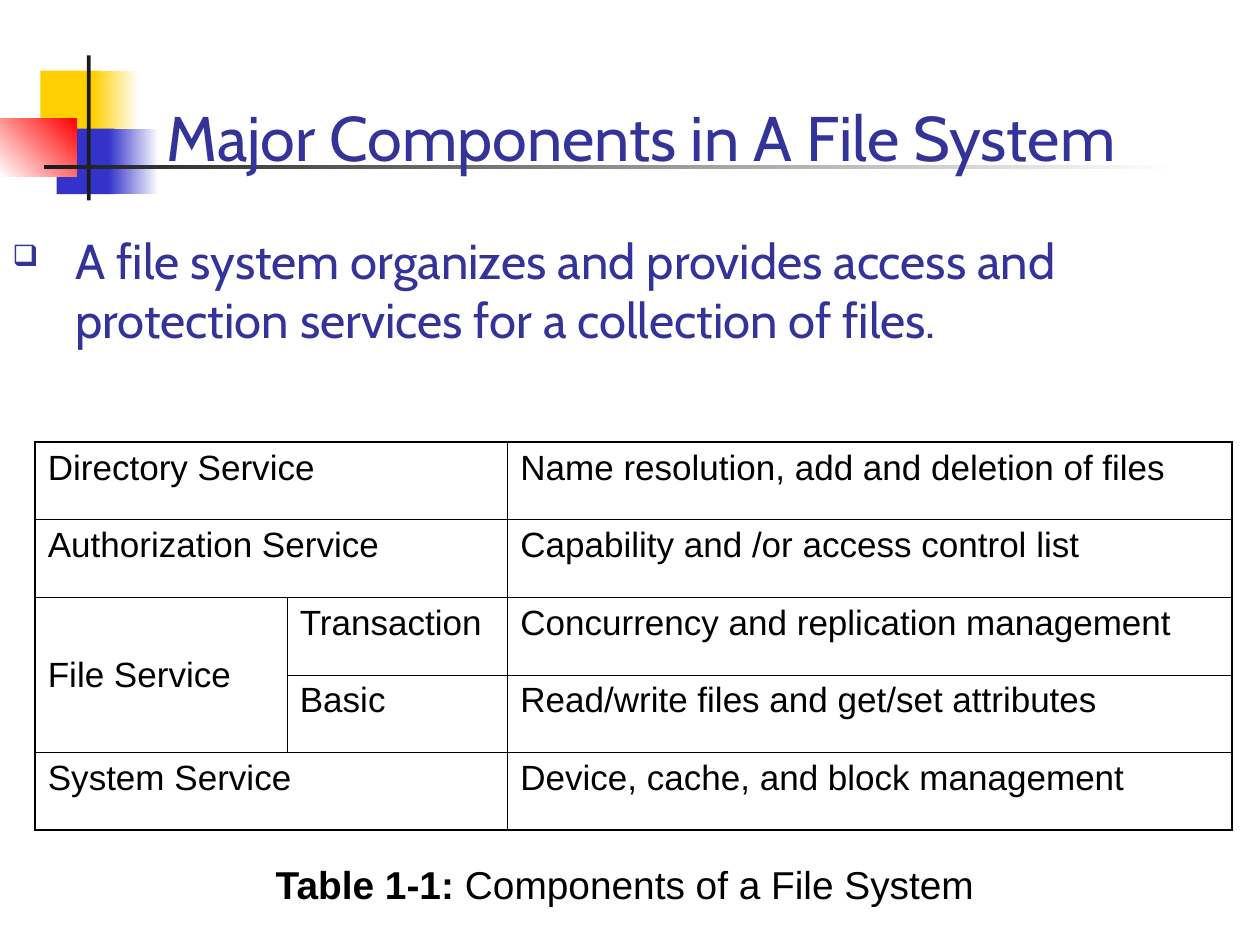
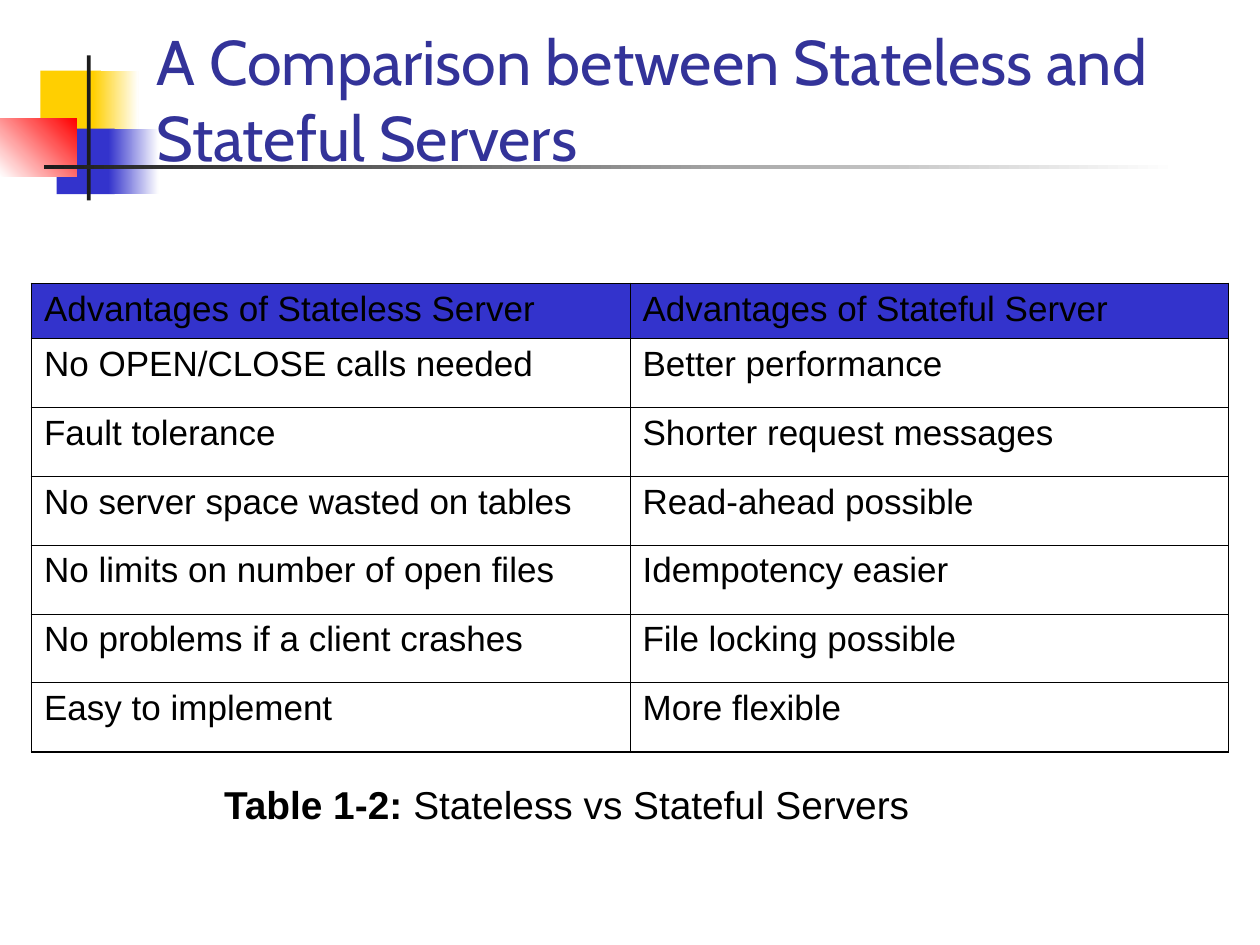
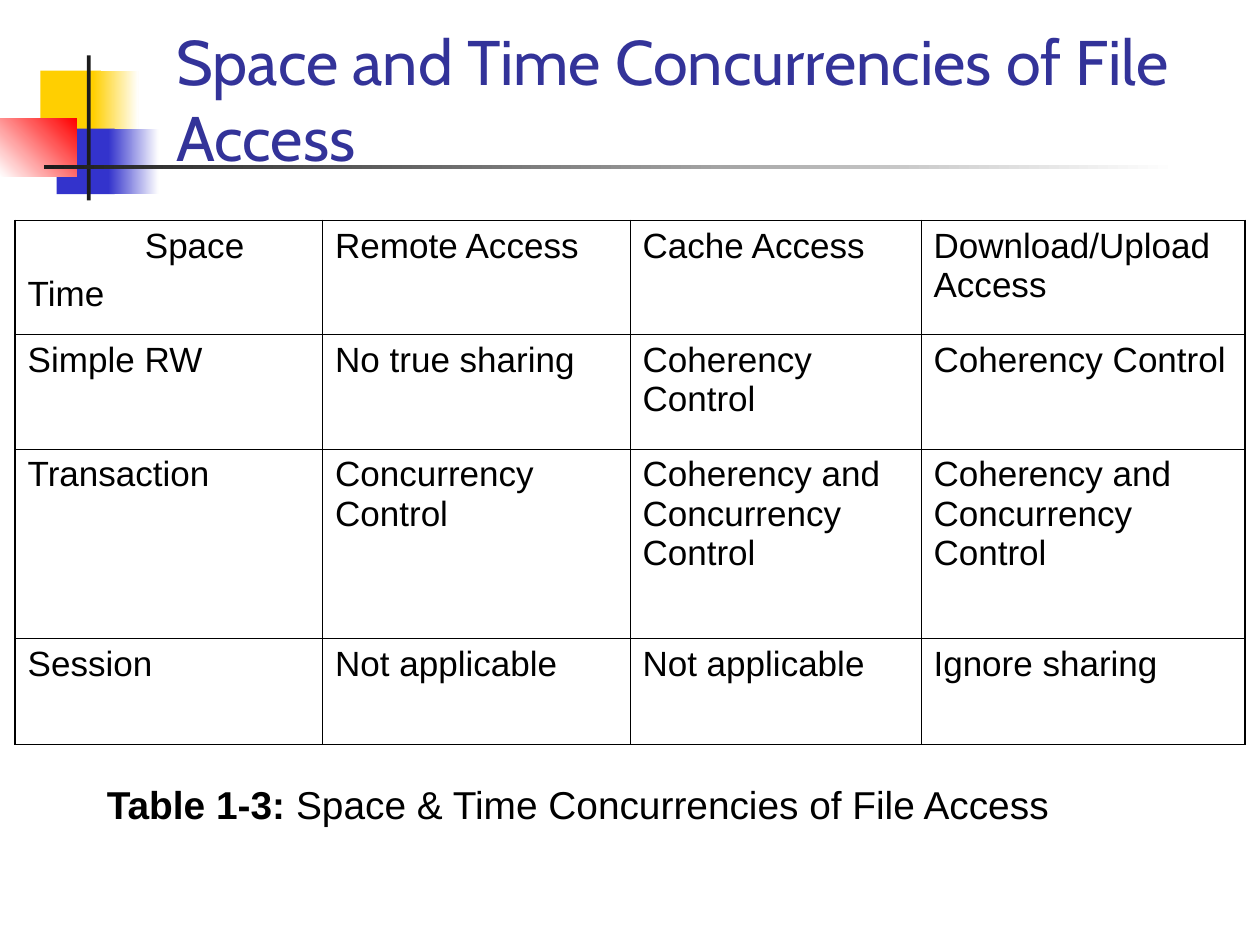
from dataclasses import dataclass

from lxml.etree import SubElement
from pptx import Presentation
from pptx.dml.color import RGBColor
from pptx.enum.shapes import MSO_SHAPE
from pptx.enum.text import MSO_ANCHOR, MSO_AUTO_SIZE, PP_ALIGN
from pptx.oxml.ns import qn
from pptx.util import Inches, Pt

WIDTH, HEIGHT = Inches(10), Inches(7.5)
COLUMN, ROW = WIDTH / 100, HEIGHT / 75
TITLE_ONLY = 5

BLACK, WHITE, CHARCOAL = "000000", "FFFFFF", "1C1C1C"
YELLOW, BLUE, RED, NAVY = "FFCF01", "3333CC", "FF0000", "333399"
HEADING_FONT, TABLE_FONT = "Cabin", "Arial"
THIN, THICK = Pt(0.45), Pt(1.08)


@dataclass(frozen=True)
class Area:
    """A rectangle in columns and rows of the page grid."""
    left: float
    top: float
    width: float
    height: float

    def lengths(self) -> tuple[int, int, int, int]:
        return (round(self.left * COLUMN), round(self.top * ROW),
                round(self.width * COLUMN), round(self.height * ROW))


@dataclass(frozen=True)
class Block:
    """A decoration rectangle, solid or fading to a second colour."""
    area: Area
    start: str
    end: str | None = None
    angle: float = 0


@dataclass(frozen=True)
class Grid:
    """A table; merges hold first row, first column, last row, last column."""
    left: float
    top: float
    columns: tuple[float, ...]
    rows: tuple[float, ...]
    texts: tuple[tuple[str, ...], ...]
    merges: tuple[tuple[int, int, int, int], ...] = ()
    header_fill: str | None = None


@dataclass(frozen=True)
class Page:
    title: str
    title_left: float
    title_width: float
    grid: Grid
    label: str
    caption: str
    caption_area: Area


DECORATION = (
    Block(Area(3.2, 5.6, 4.8, 5.2), YELLOW),
    Block(Area(7.4, 5.6, 3.6, 5.2), YELLOW, WHITE),
    Block(Area(4.5, 10.2, 4.6, 5.2), BLUE),
    Block(Area(8.6, 10.2, 4, 5.2), BLUE, WHITE),
    Block(Area(0, 9.4, 6.1, 4.6), WHITE, RED, 45),
    Block(Area(6.9, 4.4, 0.3, 11.5), CHARCOAL),
    Block(Area(3.5, 13.1, 90, 0.3), CHARCOAL, WHITE),
)

COMPONENTS = Page(
    "Major Components in A File System", 12.2, 80.3,
    Grid(2.8, 35.1, (20, 17.5, 57.5), (6.16,) * 5, (
        ("Directory Service", "", "Name resolution, add and deletion of files"),
        ("Authorization Service", "", "Capability and /or access control list"),
        ("File Service", "Transaction", "Concurrency and replication management"),
        ("", "Basic", "Read/write files and get/set attributes"),
        ("System Service", "", "Device, cache, and block management"),
    ), merges=((0, 0, 0, 1), (1, 0, 1, 1), (2, 0, 3, 0), (4, 0, 4, 1))),
    "Table 1-1:", " Components of a File System", Area(20.9, 68.2, 63, 5))

SERVERS = Page(
    "A Comparison between Stateless and Stateful Servers", 11.4, 87.4,
    Grid(2.5, 22.5, (47.5,) * 2, (4.35,) + (5.47,) * 6, (
        ("Advantages of Stateless Server", "Advantages of Stateful Server"),
        ("No OPEN/CLOSE calls needed", "Better performance"),
        ("Fault tolerance", "Shorter request messages"),
        ("No server space wasted on tables", "Read-ahead possible"),
        ("No limits on number of open files", "Idempotency easier"),
        ("No problems if a client crashes", "File locking possible"),
        ("Easy to implement", "More flexible"),
    ), header_fill=BLUE),
    "Table 1-2:", " Stateless vs Stateful Servers", Area(16.8, 61.9, 63, 5))

CONCURRENCIES = Page(
    "Space and Time Concurrencies of File Access", 13, 85.8,
    Grid(1.2, 17.5, (24.4, 24.4, 23.1, 25.7), (9.07, 9.07, 15.05, 8.4), (
        ("Space\nTime", "Remote Access", "Cache Access", "Download/Upload Access"),
        ("Simple RW", "No true sharing", "Coherency Control", "Coherency Control"),
        ("Transaction", "Concurrency Control", "Coherency and Concurrency Control",
         "Coherency and Concurrency Control"),
        ("Session", "Not applicable", "Not applicable", "Ignore sharing"),
    )),
    "Table 1-3:", " Space & Time Concurrencies of File Access",
    Area(7.5, 61.9, 84.3, 5))


def colour(code: str) -> RGBColor:
    return RGBColor.from_string(code)


def format_span(span, size: float, font: str, code: str, bold: bool = False) -> None:
    span.font.size = Pt(size)
    span.font.name = font
    span.font.bold = bold
    span.font.color.rgb = colour(code)


def set_indent(para, left: float, first: float = 0) -> None:
    """Set the left margin and first-line offset in inches."""
    properties = para._p.get_or_add_pPr()
    properties.set("marL", str(Inches(left)))
    properties.set("indent", str(Inches(first)))


def add_bullet(para, symbol: str, code: str, percent: int) -> None:
    properties = para._p.get_or_add_pPr()
    bullet_colour = SubElement(properties, qn("a:buClr"))
    SubElement(bullet_colour, qn("a:srgbClr"), val=code)
    SubElement(properties, qn("a:buSzPct"), val=str(percent * 1000))
    SubElement(properties, qn("a:buChar"), char=symbol)


def draw_block(slide, block: Block):
    shape = slide.shapes.add_shape(MSO_SHAPE.RECTANGLE, *block.area.lengths())
    shape.shadow.inherit = False
    shape.line.fill.background()
    if block.end is None:
        shape.fill.solid()
        shape.fill.fore_color.rgb = colour(block.start)
    else:
        shape.fill.gradient()
        shape.fill.gradient_angle = block.angle
        for stop, code in zip(shape.fill.gradient_stops, (block.start, block.end)):
            stop.color.rgb = colour(code)
    return shape


def decorate_layout(layout, slide) -> None:
    """Draw the decoration on a slide and move it behind the layout's title."""
    layout_title = layout.placeholders[0].element
    for number, block in enumerate(DECORATION, start=101):
        element = draw_block(slide, block).element
        element.nvSpPr.cNvPr.set("id", str(number))
        layout_title.addprevious(element)


def place_title(slide, page: Page) -> None:
    title = slide.shapes.title
    area = Area(page.title_left, 5.1, page.title_width, 9.2)
    title.left, title.top, title.width, title.height = area.lengths()
    frame = title.text_frame
    frame.text = page.title
    frame.word_wrap = True
    frame.auto_size = MSO_AUTO_SIZE.NONE
    frame.vertical_anchor = MSO_ANCHOR.BOTTOM
    para = frame.paragraphs[0]
    para.alignment = PP_ALIGN.LEFT
    format_span(para.runs[0], 36, HEADING_FONT, NAVY)


def add_text_box(slide, area: Area, text: str):
    """Add a wrapping text box and return its paragraph."""
    frame = slide.shapes.add_textbox(*area.lengths()).text_frame
    frame.word_wrap = True
    frame.text = text
    return frame.paragraphs[0]


def add_statement(slide, text: str) -> None:
    para = add_text_box(slide, Area(0, 17.8, 100, 10.4), text)
    set_indent(para, 0.5, -0.5)
    add_bullet(para, "❑", NAVY, 60)
    format_span(para.runs[0], 28, HEADING_FONT, NAVY)


def add_caption(slide, page: Page) -> None:
    para = add_text_box(slide, page.caption_area, page.label)
    para.add_run().text = page.caption
    para.line_spacing = 0.9
    para.space_before = Pt(6)
    set_indent(para, 0.67, -0.67)
    for span, bold in zip(para.runs, (True, False)):
        format_span(span, 22.2, TABLE_FONT, BLACK, bold)


def set_borders(cell, outer: dict[str, bool]) -> None:
    """Draw the four cell borders, thick on the outer edges of the table."""
    properties = cell._tc.get_or_add_tcPr()
    for side, is_outer in outer.items():
        line = SubElement(properties, qn(f"a:ln{side}"), w=str(THICK if is_outer else THIN))
        fill = SubElement(line, qn("a:solidFill"))
        SubElement(fill, qn("a:srgbClr"), val=BLACK)


def format_cell(cell, text: str, fill: str | None) -> None:
    if fill is None:
        cell.fill.background()
    else:
        cell.fill.solid()
        cell.fill.fore_color.rgb = colour(fill)
    cell.text_frame.text = text
    for para in cell.text_frame.paragraphs:
        para.space_before = Pt(5)
        for span in para.runs:
            format_span(span, 20, TABLE_FONT, BLACK)


def add_grid(slide, grid: Grid):
    area = Area(grid.left, grid.top, sum(grid.columns), sum(grid.rows))
    last_row, last_column = len(grid.rows) - 1, len(grid.columns) - 1
    table = slide.shapes.add_table(last_row + 1, last_column + 1, *area.lengths()).table
    table.first_row = table.horz_banding = False
    for column, width in zip(table.columns, grid.columns):
        column.width = round(width * COLUMN)
    for row, height in zip(table.rows, grid.rows):
        row.height = round(height * ROW)
    for r, texts in enumerate(grid.texts):
        for c, text in enumerate(texts):
            cell = table.cell(r, c)
            set_borders(cell, {"L": c == 0, "R": c == last_column,
                               "T": r == 0, "B": r == last_row})
            format_cell(cell, text, grid.header_fill if r == 0 else None)
    for top, left, bottom, right in grid.merges:
        table.cell(top, left).merge(table.cell(bottom, right))
        if bottom > top:
            table.cell(top, left).vertical_anchor = MSO_ANCHOR.MIDDLE
    return table


def add_page(deck, page: Page):
    """Add a slide with title, table and caption; return slide and table."""
    slide = deck.slides.add_slide(deck.slide_layouts[TITLE_ONLY])
    place_title(slide, page)
    table = add_grid(slide, page.grid)
    add_caption(slide, page)
    return slide, table


def main() -> None:
    deck = Presentation()
    deck.slide_width, deck.slide_height = WIDTH, HEIGHT

    components, _ = add_page(deck, COMPONENTS)
    decorate_layout(deck.slide_layouts[TITLE_ONLY], components)
    add_statement(components, "A file system organizes and provides access and "
                              "protection services for a collection of files.")

    add_page(deck, SERVERS)

    _, concurrency_table = add_page(deck, CONCURRENCIES)
    set_indent(concurrency_table.cell(0, 0).text_frame.paragraphs[0], 0.93)

    deck.save("out.pptx")


if __name__ == "__main__":
    main()
